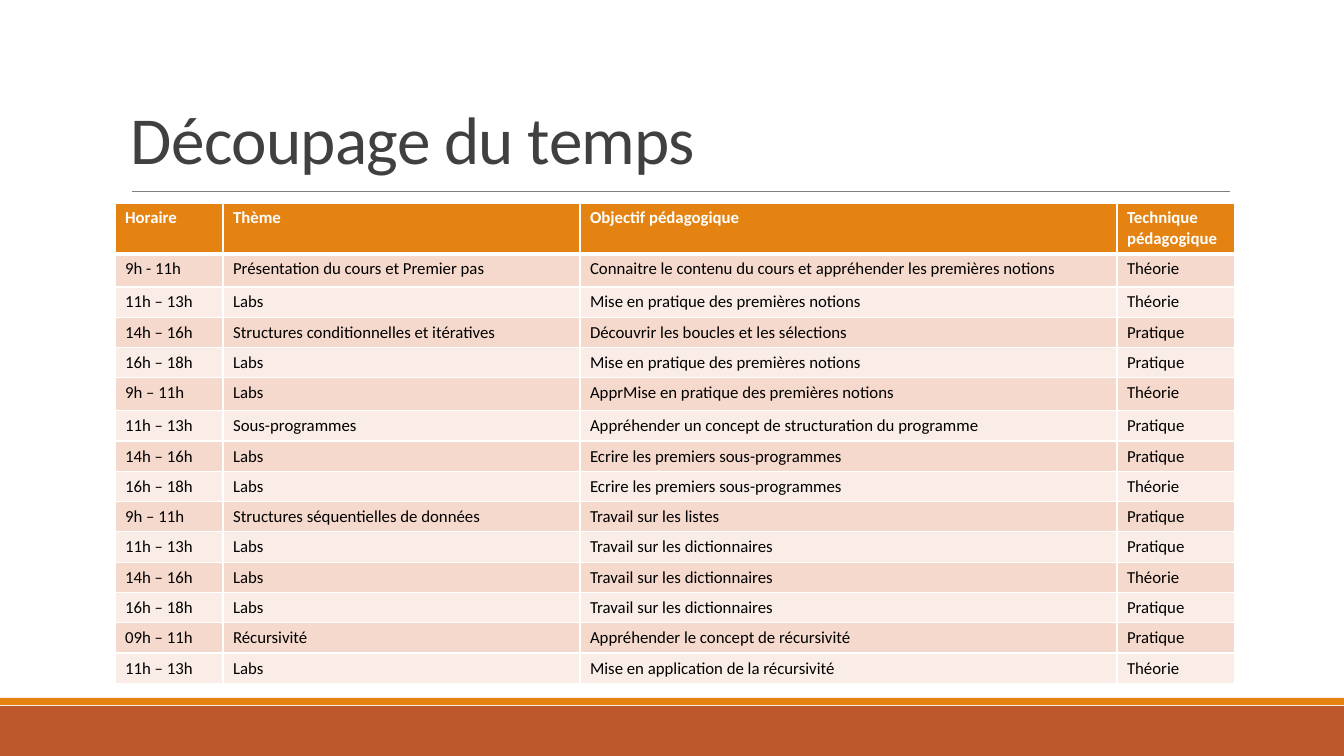
from dataclasses import dataclass

from lxml.etree import SubElement as Sub
from pptx import Presentation
from pptx.dml.color import RGBColor as Rgb
from pptx.enum.shapes import MSO_CONNECTOR as Connector, MSO_SHAPE as Preset
from pptx.enum.text import MSO_ANCHOR as Anchor, PP_ALIGN as Align
from pptx.oxml.ns import qn
from pptx.util import Emu, Pt


@dataclass(frozen=True)
class Theme:
    """Colours, font and type sizes of the slide."""
    font: str = "Calibri"
    title_size: int = 48
    table_size: int = 12
    title: str = "404040"
    rule: str = "808080"
    accent: str = "E48312"
    footer: str = "BD582C"
    bands: tuple = ("F5D9CC", "FAEDE7")
    body: str = "000000"
    white: str = "FFFFFF"


THEME = Theme()
EMU_PER_INCH = 914400
PX_PER_INCH = 100.8
SLIDE_WIDTH, SLIDE_HEIGHT = 1344, 756

COLUMN_WIDTHS = (108, 357, 537, 118)
HEADER_HEIGHT, ROW_HEIGHT, TALL_ROW_HEIGHT = 51, 30, 33
TALL_ROWS = (1, 5)

HEADINGS = ("Horaire", "Thème", "Objectif pédagogique", "Technique pédagogique")
SESSIONS = (
    ("9h - 11h", "Présentation du cours et Premier pas",
     "Connaitre le contenu du cours et appréhender les premières notions", "Théorie"),
    ("11h – 13h", "Labs", "Mise en pratique des premières notions", "Théorie"),
    ("14h – 16h", "Structures conditionnelles et itératives",
     "Découvrir les boucles et les sélections", "Pratique"),
    ("16h – 18h", "Labs", "Mise en pratique des premières notions", "Pratique"),
    ("9h – 11h", "Labs", "ApprMise en pratique des premières notions", "Théorie"),
    ("11h – 13h", "Sous-programmes",
     "Appréhender un concept de structuration du programme", "Pratique"),
    ("14h – 16h", "Labs", "Ecrire les premiers sous-programmes", "Pratique"),
    ("16h – 18h", "Labs", "Ecrire les premiers sous-programmes", "Théorie"),
    ("9h – 11h", "Structures séquentielles de données", "Travail sur les listes", "Pratique"),
    ("11h – 13h", "Labs", "Travail sur les dictionnaires", "Pratique"),
    ("14h – 16h", "Labs", "Travail sur les dictionnaires", "Théorie"),
    ("16h – 18h", "Labs", "Travail sur les dictionnaires", "Pratique"),
    ("09h – 11h", "Récursivité", "Appréhender le concept de récursivité", "Pratique"),
    ("11h – 13h", "Labs", "Mise en application de la récursivité", "Théorie"),
)


def px(length):
    """Turn pixels into EMU."""
    return Emu(round(length * EMU_PER_INCH / PX_PER_INCH))


def paint(fill, colour):
    """Give a fill one solid colour."""
    fill.solid()
    fill.fore_color.rgb = Rgb.from_string(colour)


def style_run(run, size, colour, bold=False):
    """Set the font, size, colour and weight of a run."""
    run.font.name = THEME.font
    run.font.size = Pt(size)
    run.font.bold = bold
    run.font.color.rgb = Rgb.from_string(colour)


def add_bar(slide, top, height, colour):
    """Draw a band across the full slide width."""
    bar = slide.shapes.add_shape(Preset.RECTANGLE, 0, px(top), px(SLIDE_WIDTH), px(height))
    bar.shadow.inherit = False
    paint(bar.fill, colour)
    bar.line.fill.background()


def add_rule(slide, left, right, y):
    """Draw the thin line under the title."""
    rule = slide.shapes.add_connector(Connector.STRAIGHT, px(left), px(y), px(right), px(y))
    rule.line.width = Pt(0.5)
    rule.line.color.rgb = Rgb.from_string(THEME.rule)
    Sub(rule._element.spPr, qn("a:effectLst"))


def add_title(slide, words, left, top, width, height):
    """Write the slide title, set on the bottom of its box."""
    frame = slide.shapes.add_textbox(px(left), px(top), px(width), px(height)).text_frame
    frame.word_wrap = True
    frame.vertical_anchor = Anchor.BOTTOM
    frame.text = words
    line = frame.paragraphs[0]
    line.alignment = Align.LEFT
    line.line_spacing = 0.85
    run = line.runs[0]
    style_run(run, THEME.title_size, THEME.title)
    run.font._element.set("spc", "-50")


def add_borders(cell, bottom):
    """Outline a cell in white, with its own bottom width in points."""
    properties = cell._tc.get_or_add_tcPr()
    for side, width in (("L", 1), ("R", 1), ("T", 1), ("B", bottom)):
        border = Sub(properties, qn(f"a:ln{side}"), w=str(Pt(width)))
        Sub(Sub(border, qn("a:solidFill")), qn("a:srgbClr"), val=THEME.white)


def fill_cell(cell, words, background, colour, header):
    """Write and colour one table cell."""
    add_borders(cell, 3 if header else 1)
    paint(cell.fill, background)
    cell.text = words
    style_run(cell.text_frame.paragraphs[0].runs[0], THEME.table_size, colour, header)


def row_height(index):
    """Give the height of a table row."""
    if index == 0:
        return HEADER_HEIGHT
    return TALL_ROW_HEIGHT if index in TALL_ROWS else ROW_HEIGHT


def add_schedule(slide, left, top):
    """Build the timetable with its header and alternating bands."""
    rows = (HEADINGS, *SESSIONS)
    heights = [row_height(index) for index in range(len(rows))]
    schedule = slide.shapes.add_table(len(rows), len(HEADINGS), px(left), px(top),
                                      px(sum(COLUMN_WIDTHS)), px(sum(heights))).table
    for column, width in zip(schedule.columns, COLUMN_WIDTHS):
        column.width = px(width)
    for index, (row, height, entries) in enumerate(zip(schedule.rows, heights, rows)):
        row.height = px(height)
        header = index == 0
        background = THEME.accent if header else THEME.bands[(index - 1) % 2]
        colour = THEME.white if header else THEME.body
        for cell, words in zip(row.cells, entries):
            fill_cell(cell, words, background, colour, header)


def main():
    """Build the slide and save it."""
    deck = Presentation()
    deck.slide_width, deck.slide_height = px(SLIDE_WIDTH), px(SLIDE_HEIGHT)
    slide = deck.slides.add_slide(deck.slide_layouts[6])
    add_bar(slide, 706, 50, THEME.footer)
    add_bar(slide, 698, 7, THEME.accent)
    add_rule(slide, 132, 1230, 191)
    add_title(slide, "Découpage du temps", 121, 23, 1109, 160)
    add_schedule(slide, 115, 203)
    deck.save("out.pptx")


if __name__ == "__main__":
    main()
